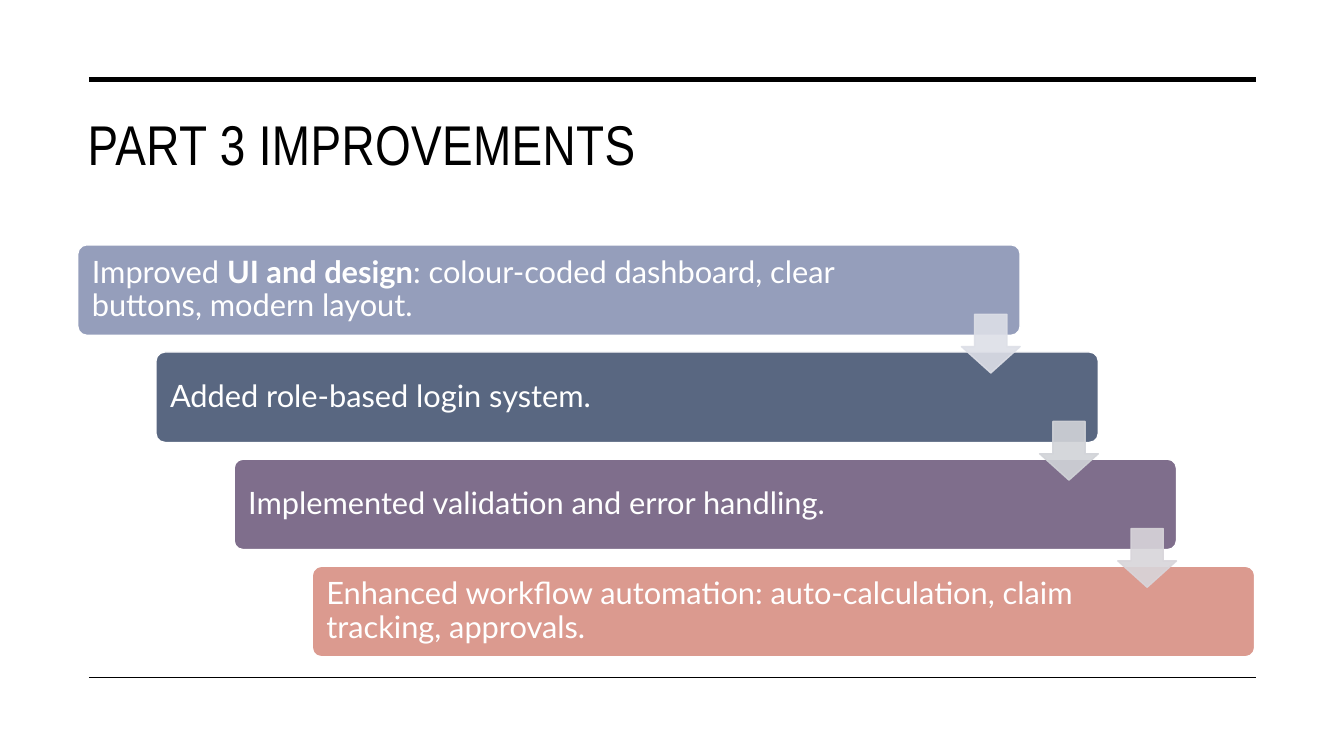
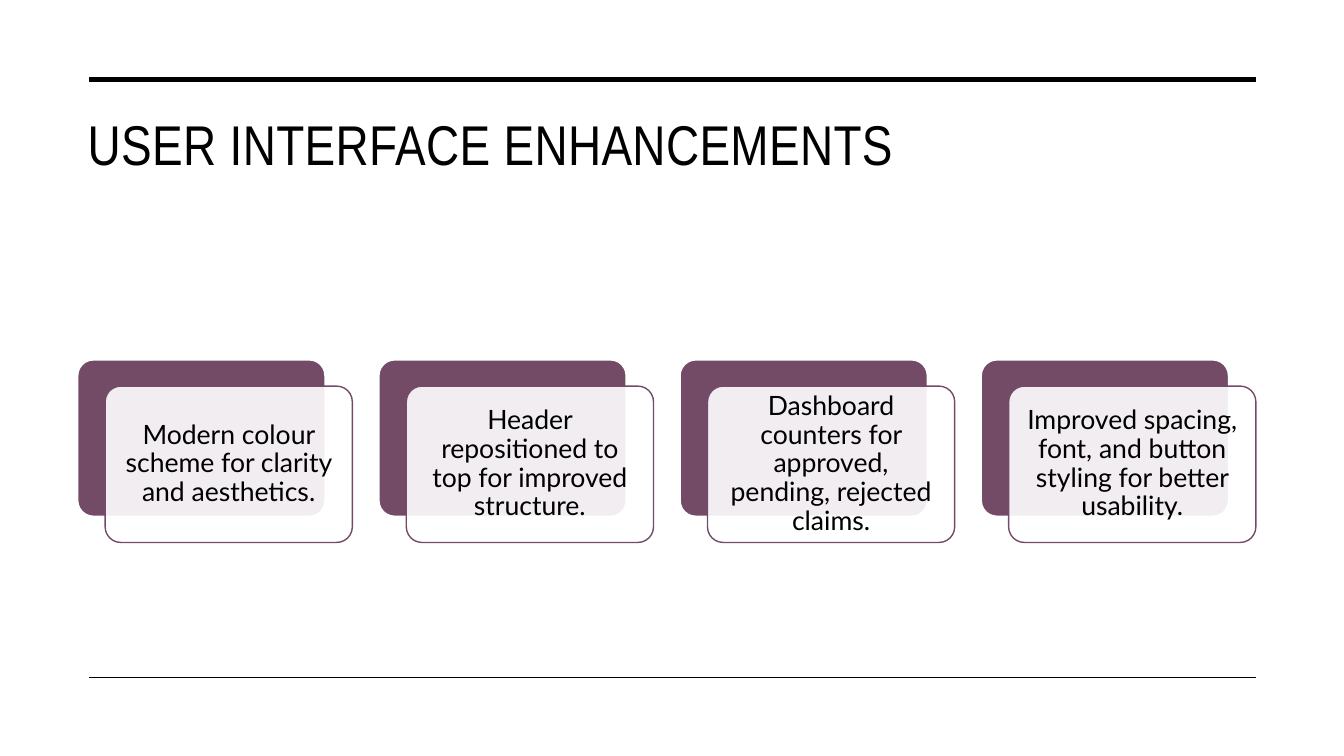
from lxml.etree import SubElement
from pptx import Presentation
from pptx.dml.color import RGBColor
from pptx.enum.shapes import MSO_CONNECTOR, MSO_SHAPE
from pptx.enum.text import MSO_ANCHOR, PP_ALIGN
from pptx.oxml.ns import qn
from pptx.util import Cm, Pt

COLORS = {
    "black": "000000",
    "white": "FFFFFF",
    "periwinkle": "959EBB",
    "slate": "596781",
    "violet": "7F6E8C",
    "salmon": "DB9A8F",
    "pale_periwinkle": "DDDFE7",
    "pale_slate": "D1D3D8",
    "pale_violet": "D8D5DA",
    "plum": "734B67",
}


class Deck:
    title_font = "Arial Narrow"
    body_font = "Lato"
    rule_left, rule_right = 2.24, 31.65

    def __init__(self):
        self.prs = Presentation()
        self.prs.slide_width = Cm(33.87)
        self.prs.slide_height = Cm(19.05)
        self.s = None

    def color(self, name):
        return RGBColor.from_string(COLORS[name])

    def add_slide(self, title):
        self.s = self.prs.slides.add_slide(self.prs.slide_layouts[6])
        self.title(title)
        self.rule(2, 3.5)
        self.rule(17.07, 1)

    def title(self, text):
        tf = self.s.shapes.add_textbox(Cm(1.96), Cm(2.51), Cm(29.69), Cm(3.2)).text_frame
        tf.word_wrap = True
        tf.margin_top = Cm(0.25)
        p = self.add_runs(tf, [(text, False)], self.title_font, 40, "black")
        p.runs[0].font._element.set("spc", "30")

    def rule(self, y, width):
        line = self.s.shapes.add_connector(
            MSO_CONNECTOR.STRAIGHT, Cm(self.rule_left), Cm(y), Cm(self.rule_right), Cm(y))
        line.line.color.rgb = self.color("black")
        line.line.width = Pt(width)
        SubElement(line._element.spPr, qn("a:effectLst"))

    def add_runs(self, tf, parts, font, size, color):
        p = tf.paragraphs[0]
        for text, bold in parts:
            r = p.add_run()
            r.text = text
            r.font.name = font
            r.font.size = Pt(size)
            r.font.bold = bold
            r.font.color.rgb = self.color(color)
        return p

    def shape(self, kind, x, y, w, h, fill, line, adjustments, see_through=()):
        sp = self.s.shapes.add_shape(kind, Cm(x), Cm(y), Cm(w), Cm(h))
        sp.shadow.inherit = False
        for i, value in enumerate(adjustments):
            sp.adjustments[i] = value
        sp.fill.solid()
        sp.fill.fore_color.rgb = self.color(fill)
        sp.line.color.rgb = self.color(line)
        sp.line.width = Pt(1)
        parents = {"fill": sp._element.spPr, "line": sp._element.spPr.find(qn("a:ln"))}
        for part in see_through:
            clr = parents[part].find(qn("a:solidFill")).find(qn("a:srgbClr"))
            SubElement(clr, qn("a:alpha")).set("val", "90000")
        return sp

    def box(self, x, y, w, h, fill, line, see_through=()):
        return self.shape(MSO_SHAPE.ROUNDED_RECTANGLE, x, y, w, h, fill, line, [0.1], see_through)

    def arrow(self, x, y, size, color):
        sp = self.shape(MSO_SHAPE.DOWN_ARROW, x, y, size, size, color, color,
                        [0.45, 0.55], ("fill", "line"))
        sp.adjustments[0], sp.adjustments[1] = 0.55, 0.45

    def label(self, sp, parts, size, color, align, left, right):
        tf = sp.text_frame
        tf.word_wrap = True
        tf.vertical_anchor = MSO_ANCHOR.MIDDLE
        tf.margin_left, tf.margin_right = Cm(left), Cm(right)
        p = self.add_runs(tf, parts, self.body_font, size, color)
        p.alignment = align
        p.line_spacing = 0.9

    def staircase(self, steps, arrow_colors):
        x, y, w, h = 1.96, 6.17, 23.75, 2.28
        dx, dy, size, drop = 1.97, 2.7, 1.48, 1.75
        for i, (fill, parts) in enumerate(steps):
            sp = self.box(x + i * dx, y + i * dy, w, h, fill, "white")
            self.label(sp, parts, 22, "white", PP_ALIGN.LEFT, 0.29, 3.7)
        for i, color in enumerate(arrow_colors):
            self.arrow(x + i * dx + w - size, y + i * dy + drop, size, color)

    def cards(self, texts):
        x, y, w, h = 1.96, 9.07, 6.23, 3.94
        pitch, dx, dy = 7.59, 0.69, 0.66
        for i, text in enumerate(texts):
            left = x + i * pitch
            self.box(left, y, w, h, "plum", "white")
            sp = self.box(left + dx, y + dy, w, h, "white", "plum", ("fill",))
            self.label(sp, [(text, False)], 19, "black", PP_ALIGN.CENTER, 0.33, 0.33)


def main():
    deck = Deck()

    deck.add_slide("PART 3 IMPROVEMENTS")
    deck.staircase([
        ("periwinkle", [
            ("Improved ", False),
            ("UI and design", True),
            (": colour-coded dashboard, clear buttons, modern layout.", False),
        ]),
        ("slate", [("Added role-based login system.", False)]),
        ("violet", [("Implemented validation and error handling.", False)]),
        ("salmon", [("Enhanced workflow automation: auto-calculation, "
                     "claim tracking, approvals.", False)]),
    ], ["pale_periwinkle", "pale_slate", "pale_violet"])

    deck.add_slide("USER INTERFACE ENHANCEMENTS")
    deck.cards([
        "Modern colour scheme for clarity and aesthetics.",
        "Header repositioned to top for improved structure.",
        "Dashboard counters for approved, pending, rejected claims.",
        "Improved spacing, font, and button styling for better usability.",
    ])

    deck.prs.save("out.pptx")


if __name__ == "__main__":
    main()
